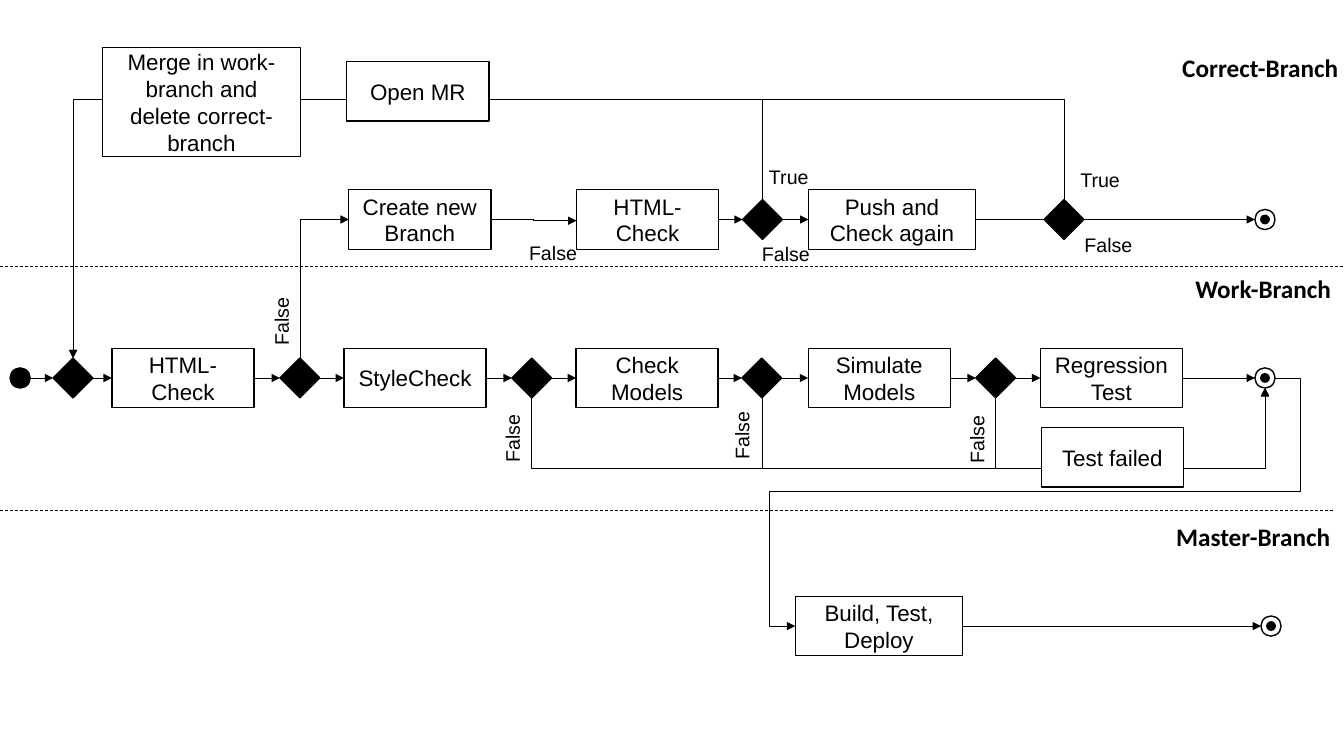
from collections import namedtuple

from lxml import etree
from pptx import Presentation
from pptx.dml.color import RGBColor
from pptx.enum.dml import MSO_LINE
from pptx.enum.shapes import MSO_CONNECTOR, MSO_SHAPE
from pptx.enum.text import MSO_ANCHOR, MSO_AUTO_SIZE, PP_ALIGN
from pptx.oxml.ns import qn
from pptx.util import Pt

STRAIGHT, ELBOW = MSO_CONNECTOR.STRAIGHT, MSO_CONNECTOR.ELBOW
RECTANGLE, DIAMOND, OVAL = MSO_SHAPE.RECTANGLE, MSO_SHAPE.DIAMOND, MSO_SHAPE.OVAL
DASH = MSO_LINE.DASH
CENTER, MIDDLE = PP_ALIGN.CENTER, MSO_ANCHOR.MIDDLE
FIT_SHAPE = MSO_AUTO_SIZE.SHAPE_TO_FIT_TEXT

BLACK, WHITE = "000000", "FFFFFF"
STEP_WIDTH, WIDE_STEP, STEP_HEIGHT = 101.5, 119.5, 42.5
GATE, DOT, CORE = 28.4, 14.4, 6

Lane = namedtuple("Lane", "left top width height")
CORRECT = Lane(0, 0, 960, 190.6)
WORK = Lane(0, 190.6, 960, 173.8)
MASTER = Lane(0, 364.4, 960, 175.6)

# Row centres and shared columns
CORRECT_ROW, WORK_ROW, MASTER_ROW = 156.8, 79.4, 82.8
CORRECT_GATES = [544.7, 760]
WORK_GATES = [52.2, 214.2, 379.8, 544.2, 711.2]
END_COLUMN, MASTER_END, MASTER_STEP = 903.6, 907.9, 568.1
BRANCH_STEP = 249.1


def color(hex_text):
    return RGBColor.from_string(hex_text)


def write(frame, text, size, font, bold=False):
    para = frame.paragraphs[0]
    span = para.add_run()
    span.text = text
    span.font.size, span.font.name, span.font.bold = Pt(size), font, bold
    span.font.color.rgb = color(BLACK)
    return para


def node(page, kind, left, top, width, height, fill):
    shape = page.shapes.add_shape(kind, Pt(left), Pt(top), Pt(width), Pt(height))
    shape.shadow.inherit = False
    shape.fill.solid()
    shape.fill.fore_color.rgb = color(fill)
    shape.line.color.rgb = color(BLACK)
    shape.line.width = Pt(1)
    return shape


def centered(page, kind, x, y, size, fill=BLACK):
    node(page, kind, x - size / 2, y - size / 2, size, size, fill)


def step(page, text, left, middle, width=STEP_WIDTH, height=STEP_HEIGHT):
    frame = node(page, RECTANGLE, left, middle - height / 2, width, height, WHITE).text_frame
    frame.word_wrap, frame.vertical_anchor = True, MIDDLE
    write(frame, text, 16, "Arial").alignment = CENTER


def finish(page, x, y):
    centered(page, OVAL, x, y, DOT, WHITE)
    centered(page, OVAL, x, y, CORE)


def label(page, text, left, top, width, height=24.2, turn=0, size=14, font="Arial", bold=False):
    box = page.shapes.add_textbox(Pt(left), Pt(top), Pt(width), Pt(height))
    box.rotation = turn
    box.text_frame.word_wrap, box.text_frame.auto_size = False, FIT_SHAPE
    write(box.text_frame, text, size, font, bold)


def lane_title(page, lane, text, left, top, width):
    label(page, text, lane.left + left, lane.top + top, width, 28.8,
          size=18, font="Calibri", bold=True)


def line(page, start, end, kind=STRAIGHT, arrow=True):
    link = page.shapes.add_connector(kind, *map(Pt, start + end))
    link.line.color.rgb = color(BLACK)
    link.line.width = Pt(0.5)
    if arrow:
        etree.SubElement(link.line._get_or_add_ln(), qn("a:tailEnd"), type="triangle")
    etree.SubElement(link._element.spPr, qn("a:effectLst"))
    return link


def elbow(page, start, end, bends=(), upright=False):
    """Bends are the x and y of each inner leg in turn; upright routes leave vertically."""
    (x1, y1), (x2, y2) = start, end
    spans = [x2 - x1, y2 - y1]
    if upright:
        # Lay the route out sideways about its centre, then turn it a quarter
        x, y, half_x, half_y = (x1 + x2) / 2, (y1 + y2) / 2, spans[0] / 2, spans[1] / 2
        link = line(page, (x - half_y, y + half_x), (x + half_y, y - half_x), ELBOW)
        link._element.spPr.xfrm.set("rot", "5400000")
    else:
        link = line(page, start, end, ELBOW)
    geometry = link._element.spPr.find(qn("a:prstGeom"))
    geometry.set("prst", f"bentConnector{len(bends) + 2}")
    guides = geometry.find(qn("a:avLst"))
    for index, bend in enumerate(bends):
        axis = (index + upright) % 2
        share = round((bend - start[axis]) / spans[axis] * 100000)
        etree.SubElement(guides, qn("a:gd"), name=f"adj{index + 1}", fmla=f"val {share}")


def lane_border(page, lane, width):
    y = lane.top + lane.height
    line(page, (lane.left, y), (lane.left + width, y), arrow=False).line.dash_style = DASH


def lane_links(page, correct, work, master):
    work_y, correct_y = work.top + WORK_ROW, correct.top + CORRECT_ROW
    # Merged corrections return to the start of the work lane
    for gate in CORRECT_GATES:
        elbow(page, (correct.left + gate, correct_y - GATE / 2),
              (work.left + WORK_GATES[0], work_y - GATE / 2), [correct.top + 70.7], upright=True)
    # A failed check opens a correction
    elbow(page, (work.left + WORK_GATES[1], work_y - GATE / 2),
          (correct.left + BRANCH_STEP, correct_y), upright=True)
    # Finished work goes on to the master lane
    elbow(page, (work.left + END_COLUMN + DOT / 2, work_y),
          (master.left + MASTER_STEP, master.top + MASTER_ROW),
          [work.left + 928.8, work.top + 160.8, master.left + 550])


def correct_lane(page, lane):
    x, y = lane.left, lane.top + CORRECT_ROW
    first, second = [x + gate for gate in CORRECT_GATES]
    branch, check, push, end = x + BRANCH_STEP, x + 411.8, x + 577.4, x + END_COLUMN
    # Flow
    elbow(page, (branch + STEP_WIDTH, y), (check, y + 0.9), [x + 381.2])
    for start, stop in [(check + STEP_WIDTH, first - GATE / 2), (first + GATE / 2, push),
                        (push + WIDE_STEP, end - DOT / 2)]:
        line(page, (start, y), (stop, y))
    # Steps
    step(page, "Create new Branch", branch, y)
    step(page, "HTML-Check", check, y)
    step(page, "Push and Check again", push, y, WIDE_STEP)
    step(page, "Open MR", x + 247.7, lane.top + 65.2)
    step(page, "Merge in work-branch and delete correct-branch", x + 73.4, lane.top + 72.7, 141.1, 77.8)
    for gate in (first, second):
        centered(page, DIAMOND, gate, y, GATE)
    finish(page, end, y)
    # Outcomes and title
    for text, left, top in [("False", 370.8, 168.5), ("False", 537.1, 169.2), ("False", 767.5, 162.7),
                            ("True", 542.2, 114.5), ("True", 764.6, 116.6)]:
        label(page, text, x + left, lane.top + top, 49 if text == "False" else 43.2)
    lane_title(page, lane, "Correct-Branch", 837.4, 33.8, 127.4)
    lane_border(page, lane, 960)


def work_lane(page, lane):
    x, y = lane.left, lane.top + WORK_ROW
    names = ["HTML-Check", "StyleCheck", "Check Models", "Simulate Models", "Regression Test"]
    gates = [x + gate for gate in WORK_GATES]
    steps = [x + 79.9 + 165.8 * index for index in range(len(names))]
    start, end = x + 14.4, x + END_COLUMN
    # Failed checks run to the end marker
    for gate in gates[2:]:
        elbow(page, (gate, y + GATE / 2), (end, y + DOT / 2), [lane.top + 144.2], upright=True)
    # Flow, with a gate ahead of each step
    line(page, (start + DOT / 2, y), (gates[0] - GATE / 2, y))
    for gate, left, target in zip(gates, steps, [g - GATE / 2 for g in gates[1:]] + [end - DOT / 2]):
        line(page, (gate + GATE / 2, y), (left, y))
        line(page, (left + STEP_WIDTH, y), (target, y))
    # Steps
    centered(page, OVAL, start, y, DOT)
    for name, gate, left in zip(names, gates, steps):
        centered(page, DIAMOND, gate, y, GATE)
        step(page, name, left, y)
    step(page, "Test failed", x + 743.8, lane.top + 136)
    finish(page, end, y)
    # Outcomes and title
    for left, top in [(176.4, 26.8), (341.3, 110.4), (505.4, 108.2), (673.2, 111.1)]:
        label(page, "False", x + left, lane.top + top, 49, turn=270)
    lane_title(page, lane, "Work-Branch", 846.7, 0.9, 113)
    lane_border(page, lane, 953.3)


def master_lane(page, lane):
    left, end, y = lane.left + MASTER_STEP, lane.left + MASTER_END, lane.top + MASTER_ROW
    line(page, (left + WIDE_STEP, y), (end - DOT / 2, y))
    step(page, "Build, Test, Deploy", left, y, WIDE_STEP)
    finish(page, end, y)
    lane_title(page, lane, "Master-Branch", 833, 4.2, 126)


deck = Presentation()
deck.slide_width, deck.slide_height = Pt(960), Pt(540)
page = deck.slides.add_slide(deck.slide_layouts[6])
lane_links(page, CORRECT, WORK, MASTER)
correct_lane(page, CORRECT)
work_lane(page, WORK)
master_lane(page, MASTER)
deck.save("out.pptx")
